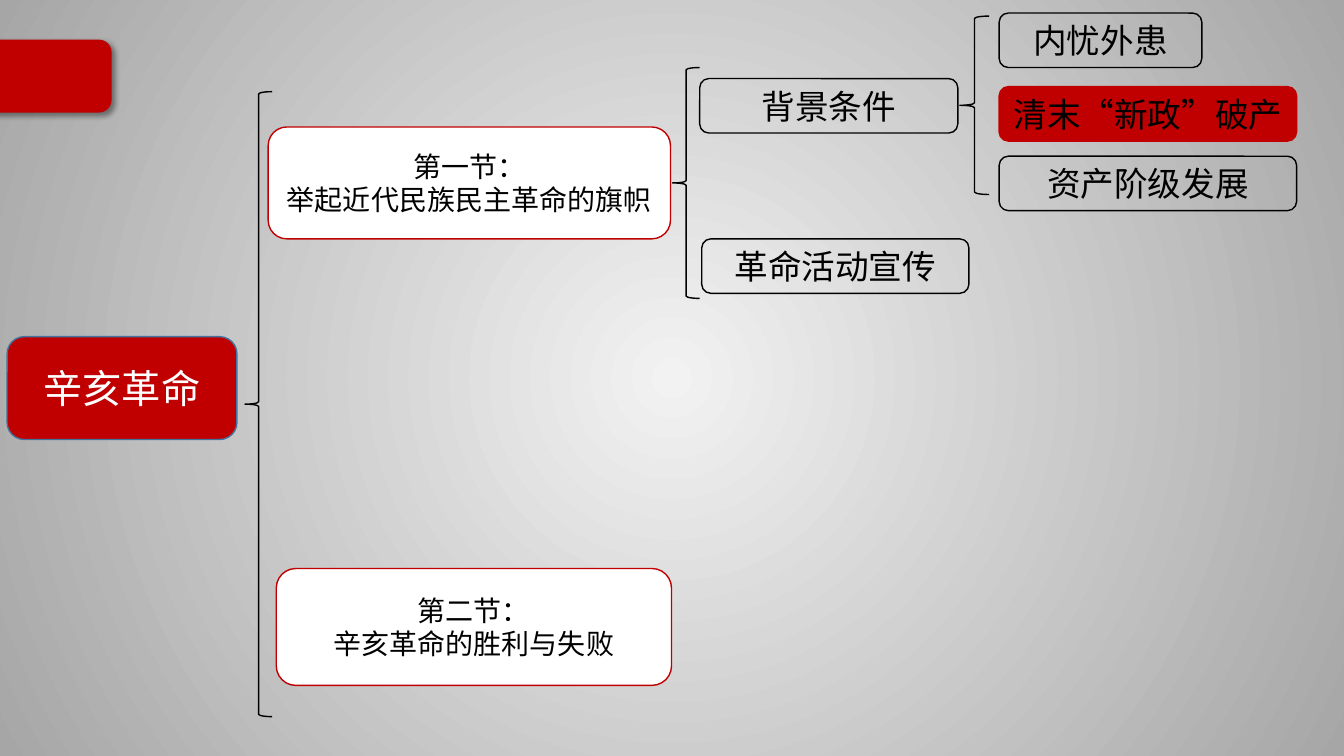
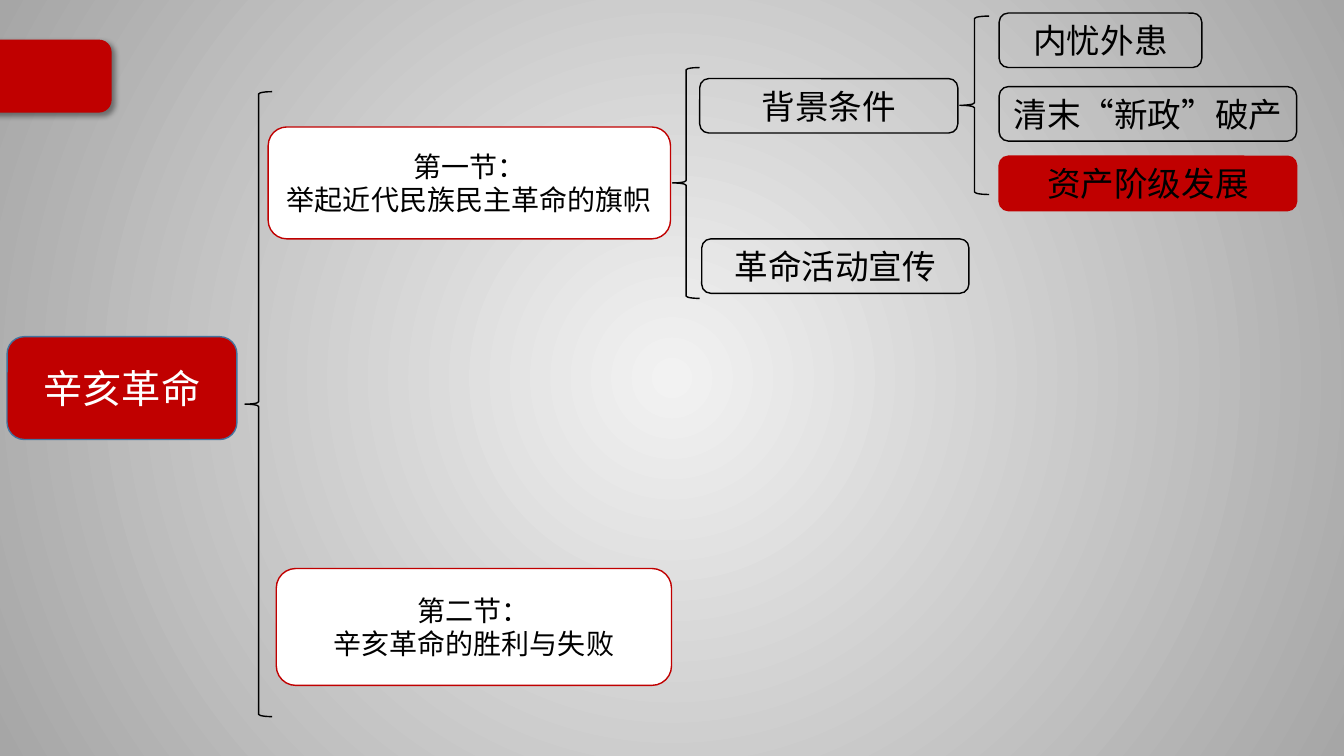
from pptx import Presentation
from pptx.dml.color import RGBColor
from pptx.enum.lang import MSO_LANGUAGE_ID
from pptx.enum.shapes import MSO_SHAPE
from pptx.enum.text import MSO_ANCHOR, PP_ALIGN
from pptx.oxml import parse_xml
from pptx.oxml.ns import nsdecls, qn
from pptx.util import Inches, Pt

FONT = "Noto Sans CJK SC"
RED, BLUE, BLACK, WHITE = "C00000", "43739E", "000000", "FFFFFF"


def color(hex_string):
    return RGBColor.from_string(hex_string)


def add_node(slide, preset, place, fill=None, line=BLACK, text="", size=24, ink=BLACK):
    node = slide.shapes.add_shape(preset, *[Inches(length) for length in place])
    node.shadow.inherit = False
    if fill:
        node.fill.solid()
        node.fill.fore_color.rgb = color(fill)
    else:
        node.fill.background()
    node.line.color.rgb = color(line)
    node.line.width = Pt(1)
    if text:
        frame = node.text_frame
        frame.text = text
        frame.word_wrap = True
        frame.margin_left = frame.margin_right = Inches(0.05)
        frame.vertical_anchor = MSO_ANCHOR.MIDDLE
        for paragraph in frame.paragraphs:
            paragraph.alignment = PP_ALIGN.CENTER
            for run in paragraph.runs:
                run.font.size = Pt(size)
                run.font.name = FONT
                run.font.language_id = MSO_LANGUAGE_ID.SIMPLIFIED_CHINESE
                run.font.color.rgb = color(ink)
                run.font._element.get_or_add_latin().addnext(
                    parse_xml(f'<a:ea {nsdecls("a")} typeface="{FONT}"/>'))
    return node


deck = Presentation()
deck.slide_width, deck.slide_height = Inches(13.33), Inches(7.5)
master = deck.slide_master
blank = deck.slide_layouts[6]

# Shared background: light centre fading to grey
master.background.fill.solid()
solid = master.element.find(".//" + qn("p:bgPr")).find(qn("a:solidFill"))
solid.getparent().replace(solid, parse_xml(
    f'<a:gradFill {nsdecls("a")} rotWithShape="1"><a:gsLst>'
    '<a:gs pos="0"><a:srgbClr val="F2F2F2"/></a:gs>'
    '<a:gs pos="100000"><a:srgbClr val="A6A6A6"/></a:gs></a:gsLst>'
    '<a:path path="circle"><a:fillToRect l="50000" t="50000" r="50000" b="50000"/>'
    '</a:path></a:gradFill>'))

# Content of the outline tree
BOX, BRACE = MSO_SHAPE.ROUNDED_RECTANGLE, MSO_SHAPE.LEFT_BRACE
sections = [
    ("第一节：\n举起近代民族民主革命的旗帜", (2.66, 1.26, 3.99, 1.11)),
    ("第二节：\n辛亥革命的胜利与失败", (2.74, 5.64, 3.92, 1.16)),
]
topics = [
    ("背景条件", (6.94, 0.78, 2.56, 0.54)),
    ("革命活动宣传", (6.96, 2.37, 2.65, 0.54)),
    ("内忧外患", (9.91, 0.13, 2.01, 0.54)),
    ("清末“新政”破产", (9.91, 0.86, 2.95, 0.54)),
    ("资产阶级发展", (9.91, 1.55, 2.95, 0.54)),
]
braces = [(2.43, 0.91, 0.27, 6.2), (6.67, 0.67, 0.27, 2.29), (9.52, 0.16, 0.29, 1.77)]

# One slide for each highlighted topic
for current in ("清末“新政”破产", "资产阶级发展"):
    slide = deck.slides.add_slide(blank)
    add_node(slide, BOX, (0.07, 3.34, 2.28, 1.02), RED, BLUE, "辛亥革命", 28, WHITE)
    for place in braces:
        add_node(slide, BRACE, place)
    for text, place in sections:
        add_node(slide, BOX, place, WHITE, RED, text, 20)
    for text, place in topics:
        if text == current:
            add_node(slide, BOX, place, RED, RED, text)
        else:
            add_node(slide, BOX, place, text=text)

# Shared red tab at the left edge, moved to the master
tab = add_node(slide, BOX, (-0.18, 0.4, 1.28, 0.71), RED, RED)
tab.element.spPr.find(qn("a:effectLst")).append(parse_xml(
    f'<a:outerShdw {nsdecls("a")} blurRad="{Pt(4)}" dist="{Pt(3)}" dir="2700000" '
    'algn="tl" rotWithShape="0"><a:srgbClr val="000000"><a:alpha val="40000"/>'
    '</a:srgbClr></a:outerShdw>'))
tab.element.nvSpPr.cNvPr.set("id", "50")
master.shapes.element.append(tab.element)

deck.save("out.pptx")
